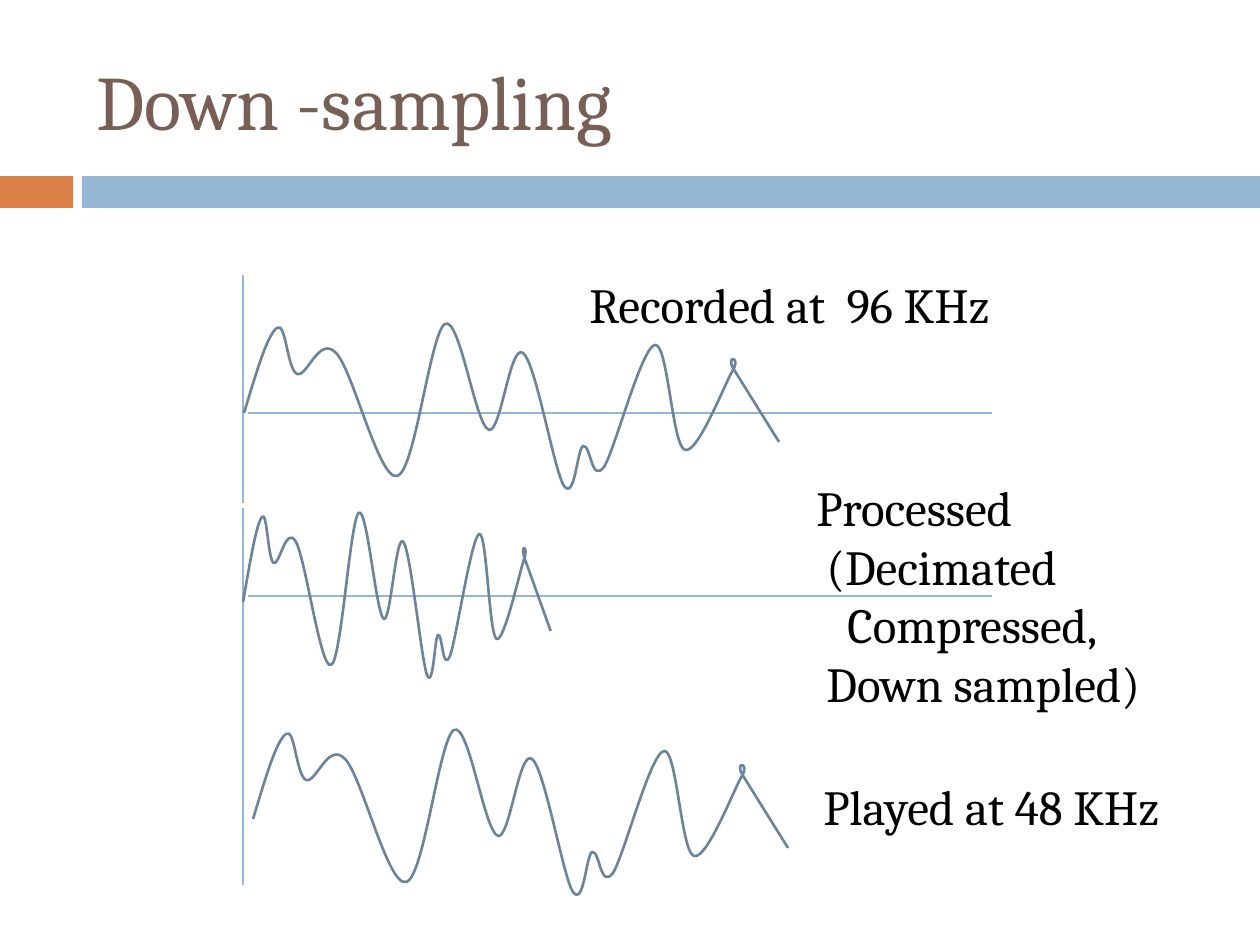
from lxml import etree
from pptx import Presentation
from pptx import util as u
from pptx.dml.color import RGBColor
from pptx.enum import shapes, text
from pptx.oxml.ns import qn

PX = 914400 / 126
BLUE, ORANGE, SLATE, BROWN, BLACK = "94B6D2", "DD8047", "6C8499", "775F55", "000000"


def emu(*lengths):
    return [u.Emu(round(length * PX)) for length in lengths]


def paint(color_format, value):
    color_format.rgb = RGBColor.from_string(value)


deck = Presentation()
deck.slide_width, deck.slide_height = emu(1260, 945)
page = deck.slides.add_slide(deck.slide_layouts[5])

for left, width, color in [(0, 73, ORANGE), (82, 1178, BLUE)]:
    bar = page.shapes.add_shape(shapes.MSO_SHAPE.RECTANGLE, *emu(left, 176, width, 32))
    bar.shadow.inherit = False
    bar.fill.solid()
    paint(bar.fill.fore_color, color)
    bar.line.fill.background()

title = page.shapes.title
title.left, title.top, title.width, title.height = emu(84, 32, 1124, 136)
title.text_frame.text = "Down -sampling"
title.text_frame.vertical_anchor = text.MSO_ANCHOR.MIDDLE
title.text_frame.paragraphs[0].alignment = text.PP_ALIGN.LEFT
span = title.text_frame.paragraphs[0].runs[0]
span.font.size, span.font.name = u.Pt(44), "Cambria"
paint(span.font.color, BROWN)

axes = [
    (243, 275, 243, 503),
    (248, 413, 992, 413),
    (243, 508, 243, 885),
    (248, 596, 992, 596),
]
for ends in axes:
    axis = page.shapes.add_connector(shapes.MSO_CONNECTOR.STRAIGHT, *emu(*ends))
    paint(axis.line.color, BLUE)
    axis.line.width = u.Pt(0.79)
    etree.SubElement(axis._element.spPr, qn("a:effectLst"))

start = (244, 413)
curves = [
    [(256, 374), (267, 335), (277, 328)],
    [(286, 321), (287, 369), (297, 374)],
    [(307, 378), (319, 335), (336, 353)],
    [(353, 370), (379, 481), (397, 476)],
    [(415, 473), (430, 333), (445, 324)],
    [(460, 316), (475, 425), (489, 430)],
    [(501, 433), (510, 343), (523, 353)],
    [(536, 363), (554, 471), (564, 486)],
    [(575, 501), (577, 450), (583, 446)],
    [(591, 444), (591, 484), (604, 467)],
    [(615, 450), (641, 348), (655, 345)],
    [(668, 343), (672, 446), (685, 450)],
    [(698, 454), (725, 383), (733, 370)],
    [(741, 357), (726, 355), (733, 368)],
    [(741, 381), (779, 442), (779, 442)],
]
for left, top, stretch in [(244, 413, 1), (243, 602, 0.575), (253, 819, 1)]:
    placed = [
        [emu(left + (x - start[0]) * stretch, top + y - start[1]) for x, y in curve]
        for curve in curves
    ]
    builder = page.shapes.build_freeform(*emu(left, top))
    builder.add_line_segments([curve[-1] for curve in placed], close=False)
    wave = builder.convert_to_shape()
    wave.shadow.inherit = False
    wave.fill.background()
    paint(wave.line.color, SLATE)
    wave.line.width = u.Pt(1.5)
    segments = list(wave._element.iter(qn("a:lnTo")))
    for segment, curve in zip(segments, placed):
        bezier = etree.Element(qn("a:cubicBezTo"))
        for x, y in curve:
            point = etree.SubElement(bezier, qn("a:pt"))
            point.set("x", str(x - wave.left))
            point.set("y", str(y - wave.top))
        segment.getparent().replace(segment, bezier)

labels = [
    ((577, 268, 563, 72), [("Recorded at  96 KHz", 0)]),
    (
        (804, 471, 610, 251),
        [("Processed", 0), ("(Decimated", 10), ("Compressed,", 31), ("Down sampled)", 10)],
    ),
    ((811, 770, 379, 72), [("Played at 48 KHz", 0)]),
]
for bounds, lines in labels:
    box = page.shapes.add_textbox(*emu(*bounds))
    box.text_frame.word_wrap = True
    box.text_frame.text = "\n".join(line for line, indent in lines)
    for para, (line, indent) in zip(box.text_frame.paragraphs, lines):
        para._p.get_or_add_pPr().set("marL", str(emu(indent)[0]))
        span = para.runs[0]
        span.font.size, span.font.name = u.Pt(28), "Cambria"
        paint(span.font.color, BLACK)

deck.save("out.pptx")
